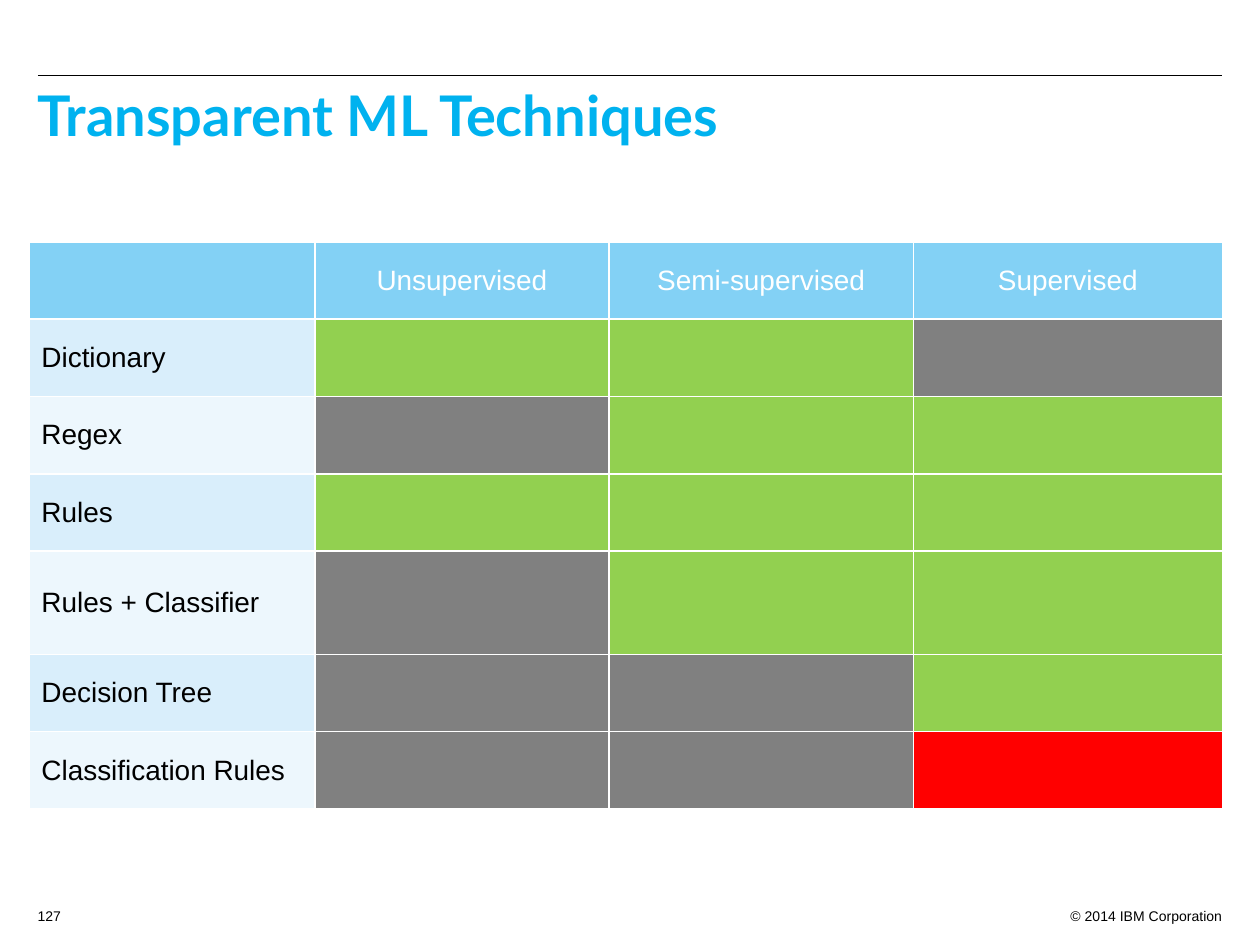
"""Build the slide that rates transparent ML techniques by supervision level."""
from lxml import etree
from pptx import Presentation
from pptx import util as u
from pptx.dml.color import RGBColor
from pptx.enum import shapes, text
from pptx.oxml.ns import qn

COLOURS = {
    "title": "00B2EF", "black": "000000", "white": "FFFFFF", "header": "83D1F5",
    "odd": "D9EEFB", "even": "EDF7FD",
    "yes": "92D050", "no": "808080", "open": "FF0000",
}
TITLE = "Transparent ML Techniques"
HEADERS = ["", "Unsupervised", "Semi-supervised", "Supervised"]
TECHNIQUES = [
    ("Dictionary", "yes", "yes", "no"),
    ("Regex", "no", "yes", "yes"),
    ("Rules", "yes", "yes", "yes"),
    ("Rules + Classifier", "no", "yes", "yes"),
    ("Decision Tree", "no", "no", "yes"),
    ("Classification Rules", "no", "no", "open"),
]
FOOTERS = [
    ("127", 14.4, 28.8, text.PP_ALIGN.LEFT),
    ("© 2014 IBM Corporation", 597.6, 108, text.PP_ALIGN.RIGHT),
]
COLUMN_WIDTHS = [163.5, 168, 174, 176.5]
ROW_HEIGHTS = [44.2] * 4 + [59] + [44.2] * 2


def rgb(name):
    return RGBColor.from_string(COLOURS[name])


def place(box, left, top, width, height):
    for name, value in dict(left=left, top=top, width=width, height=height).items():
        setattr(box, name, u.Pt(value))


def write(frame, words, size, colour, align, face="Arial", bold=False):
    para = frame.paragraphs[0]
    para.alignment = align
    span = para.add_run()
    span.text = words
    for name, value in dict(name=face, size=u.Pt(size), bold=bold).items():
        setattr(span.font, name, value)
    span.font.color.rgb = rgb(colour)
    return para


def add_borders(cell):
    properties = cell._tc.get_or_add_tcPr()
    for side in ("lnL", "lnR", "lnT", "lnB"):
        line = etree.SubElement(properties, qn("a:" + side), w=str(u.Pt(1)))
        fill = etree.SubElement(line, qn("a:solidFill"))
        etree.SubElement(fill, qn("a:srgbClr"), val=COLOURS["white"])


def fill_cell(cell, colour, words="", ink="black", align=text.PP_ALIGN.LEFT):
    add_borders(cell)
    cell.fill.solid()
    cell.fill.fore_color.rgb = rgb(colour)
    cell.vertical_anchor = text.MSO_ANCHOR.MIDDLE
    if words:
        write(cell.text_frame, words, 16, ink, align)


def add_rule(page):
    rule = page.shapes.add_connector(
        shapes.MSO_CONNECTOR.STRAIGHT, *map(u.Pt, (21.6, 43.2, 698.4, 43.2)))
    rule.line.color.rgb = rgb("black")
    rule.line.width = u.Pt(0.75)
    etree.SubElement(rule._element.spPr, qn("a:effectLst"))


def add_title(page):
    box = page.shapes.title
    place(box, 14.4, 46.8, 684, 57.6)
    box.text_frame.vertical_anchor = text.MSO_ANCHOR.TOP
    para = write(box.text_frame, TITLE, 32, "title", text.PP_ALIGN.LEFT, "Lato", True)
    para.line_spacing = 0.9


def add_footers(page):
    for words, left, width, align in FOOTERS:
        box = page.shapes.add_textbox(*map(u.Pt, (left, 514.8, width, 14.4)))
        box.text_frame.word_wrap = True
        write(box.text_frame, words, 8, "black", align)


def add_matrix(page):
    size = (16.5, 138.2, sum(COLUMN_WIDTHS), sum(ROW_HEIGHTS))
    table = page.shapes.add_table(
        len(ROW_HEIGHTS), len(COLUMN_WIDTHS), *map(u.Pt, size)).table
    table.first_row = table.horz_banding = False
    for column, width in zip(table.columns, COLUMN_WIDTHS):
        column.width = u.Pt(width)
    for row, height in zip(table.rows, ROW_HEIGHTS):
        row.height = u.Pt(height)
    for c, words in enumerate(HEADERS):
        fill_cell(table.cell(0, c), "header", words, "white", text.PP_ALIGN.CENTER)
    for r, (technique, *ratings) in enumerate(TECHNIQUES, 1):
        fill_cell(table.cell(r, 0), "odd" if r % 2 else "even", technique)
        for c, rating in enumerate(ratings, 1):
            fill_cell(table.cell(r, c), rating)


def main():
    deck = Presentation()
    deck.slide_width, deck.slide_height = u.Pt(720), u.Pt(540)
    page = deck.slides.add_slide(deck.slide_layouts[5])
    add_rule(page)
    add_title(page)
    add_footers(page)
    add_matrix(page)
    deck.save("out.pptx")


if __name__ == "__main__":
    main()
